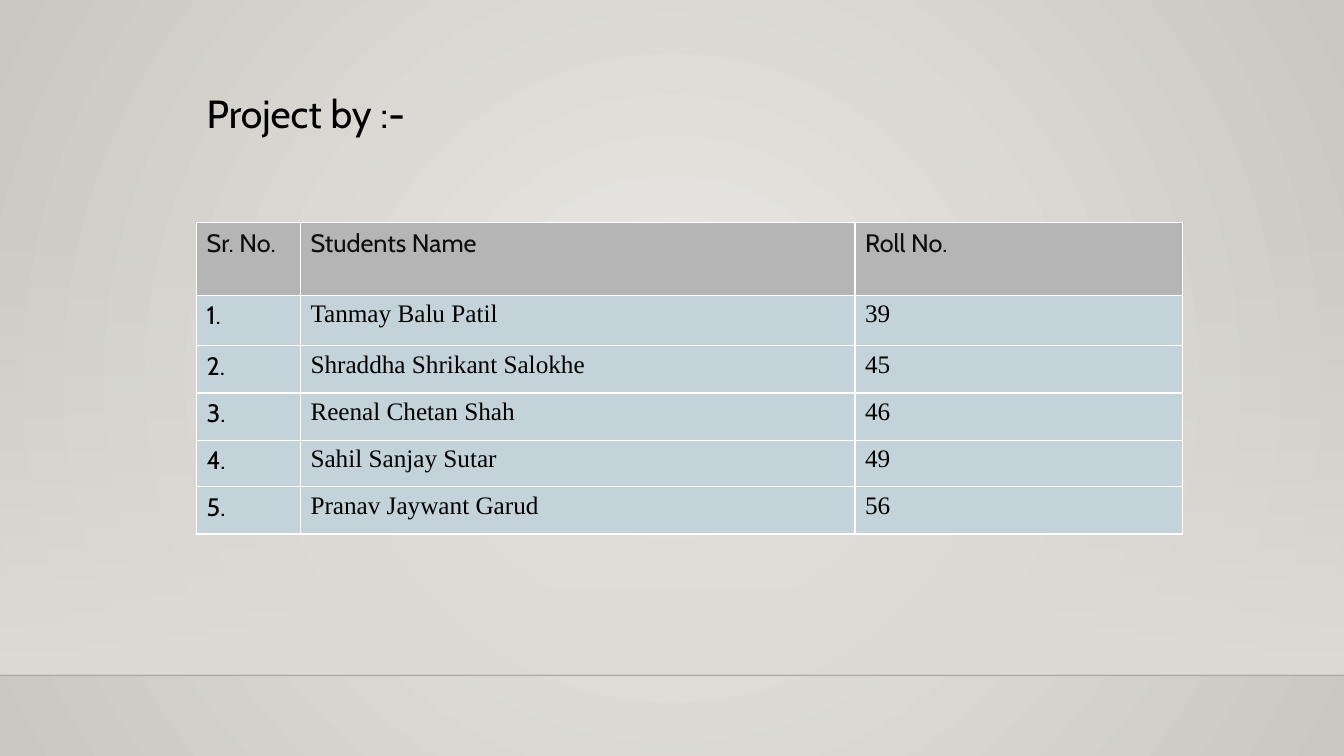
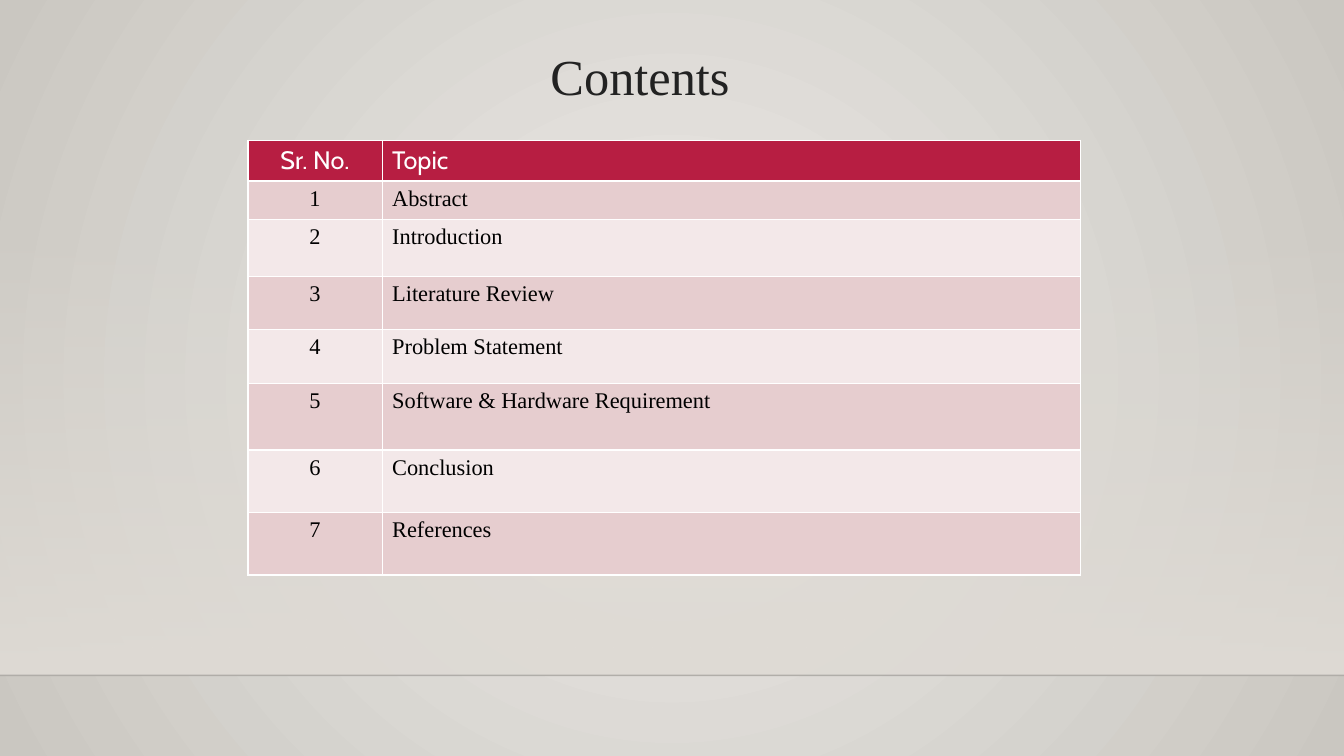
import pptx
import pptx.util
import pptx.oxml
import pptx.oxml.ns
from pptx.dml.color import RGBColor
from pptx.enum.shapes import MSO_CONNECTOR, MSO_SHAPE
from pptx.enum.text import MSO_ANCHOR, MSO_AUTO_SIZE, PP_ALIGN

Inches, Pt = pptx.util.Inches, pptx.util.Pt

WIDTH, HEIGHT = 13.33, 7.5
WALL_TOP, FLOOR = 2.21, 6.7
SANS, SERIF = "Cabin", "Times New Roman"

BLACK = RGBColor(0x00, 0x00, 0x00)
INK = RGBColor(0x0D, 0x0D, 0x0D)
CHARCOAL = RGBColor(0x22, 0x22, 0x22)
WHITE = RGBColor(0xFF, 0xFF, 0xFF)
CENTRE_GLOW = RGBColor(0xEC, 0xEA, 0xE7)
EDGE_SHADE = RGBColor(0xCA, 0xC7, 0xC1)
WALL = RGBColor(0xDF, 0xDB, 0xD5)
GREY = RGBColor(0xB5, 0xB5, 0xB5)
BLUE = RGBColor(0xC3, 0xD3, 0xD9)
CRIMSON = RGBColor(0xB7, 0x1E, 0x42)
ROSE = RGBColor(0xE6, 0xCD, 0xCF)
PALE_ROSE = RGBColor(0xF3, 0xE8, 0xE9)

# Content: bands are the body row fills, used in turn
STUDENTS = ["Tanmay Balu Patil", "Shraddha Shrikant Salokhe", "Reenal Chetan Shah",
            "Sahil Sanjay Sutar", "Pranav Jaywant Garud"]
ROLL_NUMBERS = [39, 45, 46, 49, 56]
TOPICS = ["Abstract", "Introduction", "Literature Review", "Problem Statement",
          "Software & Hardware Requirement", "Conclusion", "References"]

PAGES = [
    {
        "title": ("Project by :-", (1.95, 0.84, 5.21, 0.57), SANS, 28, BLACK),
        "at": (1.95, 2.21),
        "columns": [1.03, 5.5, 3.25],
        "heights": [0.72, 0.5, 0.47, 0.47, 0.46, 0.47],
        "header": ["Sr. No.", "Students Name", "Roll No."],
        "body": [(f"{number}.", name, str(roll)) for number, (name, roll)
                 in enumerate(zip(STUDENTS, ROLL_NUMBERS), 1)],
        "header_colors": (GREY, INK),
        "bands": [BLUE],
        "body_size": 18,
        "number_font": SANS,
        "number_align": PP_ALIGN.LEFT,
    },
    {
        "title": ("Contents", (5.36, 0.4, 4.58, 0.71), SERIF, 36, CHARCOAL),
        "at": (2.46, 1.39),
        "columns": [1.33, 6.93],
        "heights": [0.39, 0.38, 0.57, 0.52, 0.54, 0.66, 0.62, 0.62],
        "header": ["Sr. No.", "Topic"],
        "body": [(str(number), topic) for number, topic in enumerate(TOPICS, 1)],
        "header_colors": (CRIMSON, WHITE),
        "bands": [ROSE, PALE_ROSE],
        "body_size": 16,
        "number_font": SERIF,
        "number_align": PP_ALIGN.CENTER,
    },
]


def xml(text):
    namespaces = pptx.oxml.ns.nsdecls("a", "p")
    return pptx.oxml.parse_xml(text.replace(">", f" {namespaces}>", 1))


def format_text(frame, font, size, color, align=PP_ALIGN.LEFT):
    para = frame.paragraphs[0]
    para.alignment = align
    for span in para.runs:
        span.font.name = font
        span.font.size = Pt(size)
        span.font.bold = False
        span.font.color.rgb = color


# Shared backdrop, placed on the layout
def set_background(layout):
    layout.element.cSld.insert(0, xml(
        '<p:bg><p:bgPr><a:gradFill rotWithShape="1"><a:gsLst>'
        f'<a:gs pos="0"><a:srgbClr val="{CENTRE_GLOW}"/></a:gs>'
        f'<a:gs pos="100000"><a:srgbClr val="{EDGE_SHADE}"/></a:gs></a:gsLst>'
        '<a:path path="circle"><a:fillToRect l="50000" t="50000" r="50000" b="50000"/></a:path>'
        '</a:gradFill><a:effectLst/></p:bgPr></p:bg>'))


def set_alpha(color_element, percent):
    color_element.append(xml(f'<a:alpha val="{percent * 1000}"></a:alpha>'))


def add_backdrop(layout, page):
    wall = page.shapes.add_shape(MSO_SHAPE.RECTANGLE, 0, Inches(WALL_TOP),
                                 Inches(WIDTH), Inches(FLOOR - WALL_TOP))
    wall.shadow.inherit = False
    wall.line.fill.background()
    wall.fill.gradient()
    wall.fill.gradient_angle = 270
    for stop in wall.fill.gradient_stops:
        stop.color.rgb = WALL
    set_alpha(wall.element.spPr.xpath(".//a:gs/a:srgbClr")[0], 0)

    edge = page.shapes.add_connector(MSO_CONNECTOR.STRAIGHT, 0, Inches(FLOOR),
                                     Inches(WIDTH), Inches(FLOOR))
    edge.line.color.rgb = BLACK
    edge.line.width = Pt(1)
    set_alpha(edge.element.spPr.xpath(".//a:ln//a:srgbClr")[0], 20)
    edge.element.spPr.append(xml("<a:effectLst></a:effectLst>"))

    for offset, shape in enumerate([wall, edge]):
        shape.element.xpath(".//p:cNvPr")[0].set("id", str(20 + offset))
        layout.shapes.element.insert(2 + offset, shape.element)


def add_title(page, text, place, font, size, color):
    title = page.shapes.title
    title.left, title.top, title.width, title.height = map(Inches, place)
    frame = title.text_frame
    frame.text = text
    frame.word_wrap = True
    frame.auto_size = MSO_AUTO_SIZE.NONE
    frame.vertical_anchor = MSO_ANCHOR.TOP
    format_text(frame, font, size, color)


def set_borders(cell):
    properties = cell._tc.get_or_add_tcPr()
    for index, side in enumerate("LRTB"):
        properties.insert(index, xml(
            f'<a:ln{side} w="{Pt(1)}"><a:solidFill><a:srgbClr val="{WHITE}"/>'
            f'</a:solidFill></a:ln{side}>'))


def add_grid(page, content):
    columns, heights = content["columns"], content["heights"]
    lengths = (*content["at"], sum(columns), sum(heights))
    table = page.shapes.add_table(len(heights), len(columns), *map(Inches, lengths)).table
    table.first_row = table.horz_banding = False
    for column, width in zip(table.columns, columns):
        column.width = Inches(width)
    for row, height in zip(table.rows, heights):
        row.height = Inches(height)

    bands = content["bands"]
    for r, texts in enumerate([content["header"], *content["body"]]):
        for c, text in enumerate(texts):
            if r == 0:
                fill, color = content["header_colors"]
                font, size = SANS, 18
            else:
                fill, color = bands[(r - 1) % len(bands)], BLACK
                font = content["number_font"] if c == 0 else SERIF
                size = content["body_size"]
            cell = table.cell(r, c)
            cell.text_frame.text = text
            cell.fill.solid()
            cell.fill.fore_color.rgb = fill
            set_borders(cell)
            align = content["number_align"] if c == 0 else PP_ALIGN.LEFT
            format_text(cell.text_frame, font, size, color, align)


def main():
    deck = pptx.Presentation()
    deck.slide_width, deck.slide_height = Inches(WIDTH), Inches(HEIGHT)
    layout = deck.slide_layouts[5]
    set_background(layout)
    for number, content in enumerate(PAGES):
        page = deck.slides.add_slide(layout)
        if number == 0:
            add_backdrop(layout, page)
        add_grid(page, content)
        add_title(page, *content["title"])
    deck.save("out.pptx")


if __name__ == "__main__":
    main()
